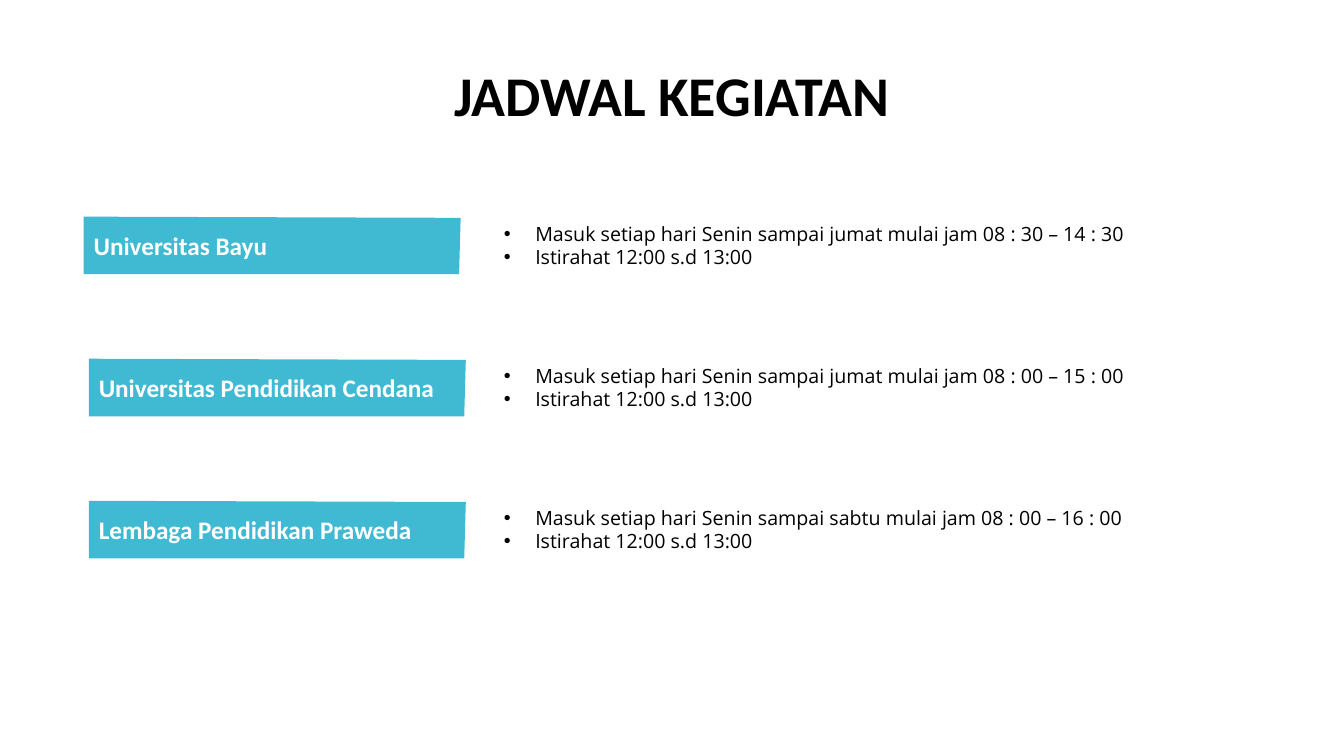
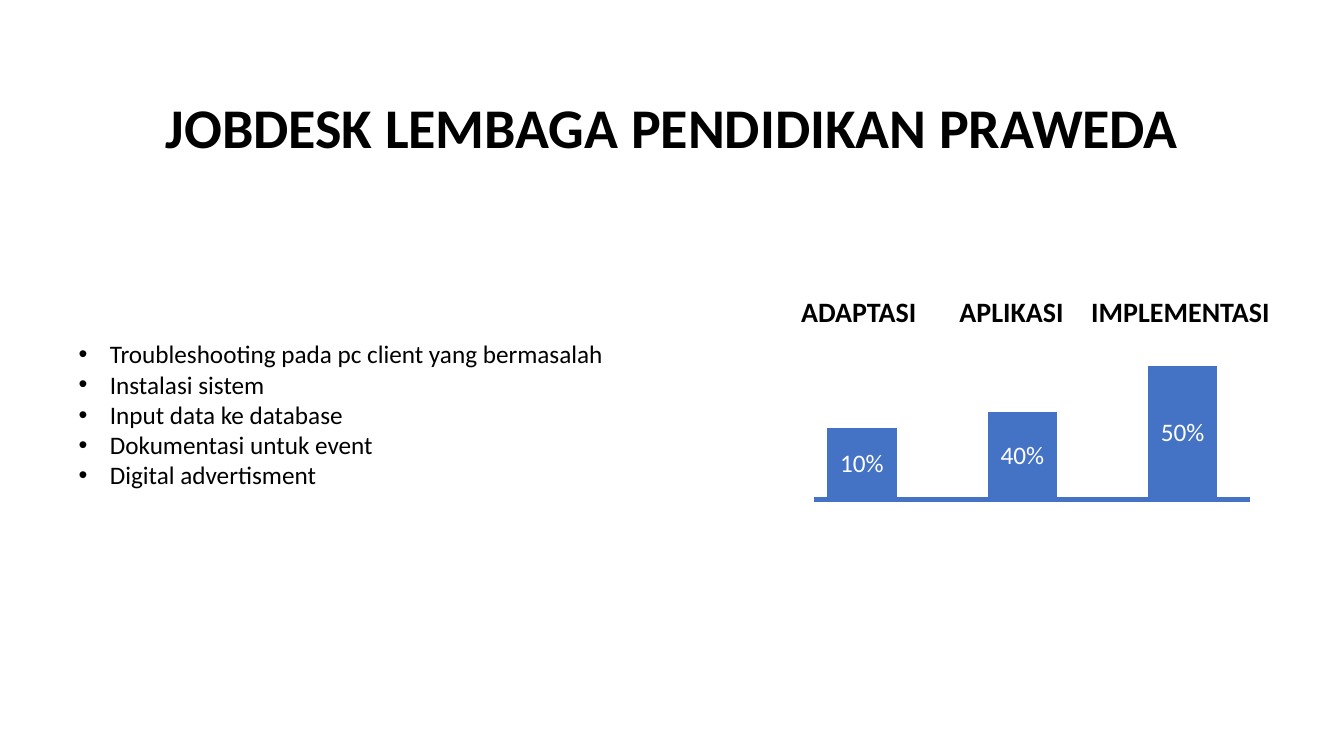
import pptx
import pptx.dml.color
import pptx.enum.shapes
import pptx.enum.text
import pptx.oxml.ns
import pptx.util
from lxml import etree

Cm = pptx.util.Cm
ALIGN = pptx.enum.text.PP_ALIGN
ANCHOR = pptx.enum.text.MSO_ANCHOR
PROCESS = pptx.enum.shapes.MSO_SHAPE.FLOWCHART_PROCESS

COLOURS = {"text": "000000", "light": "FFFFFF", "banner": "40BAD2", "bar": "4472C4"}
SLIDE_WIDTH, SLIDE_HEIGHT = 33.87, 19.05
BULLET_INDENT = 0.79

BREAK_TIME = "Istirahat 12:00 s.d 13:00"
# Institution, banner left (cm), working hours
SCHEDULE = [
    ("Universitas Bayu", 2.11,
     "Masuk setiap hari Senin sampai jumat mulai jam 08 : 30 – 14 : 30"),
    ("Universitas Pendidikan Cendana", 2.24,
     "Masuk setiap hari Senin sampai jumat mulai jam 08 : 00 – 15 : 00"),
    ("Lembaga Pendidikan Praweda", 2.24,
     "Masuk setiap hari Senin sampai sabtu mulai jam 08 : 00 – 16 : 00"),
]
TASKS = [
    "Troubleshooting pada pc client yang bermasalah",
    "Instalasi sistem",
    "Input data ke database",
    "Dokumentasi untuk event",
    "Digital advertisment",
]
# Stage, label left and width (cm), share, bar height (cm)
STAGES = [
    ("ADAPTASI", 19.94, 3.48, "10%", 1.73),
    ("APLIKASI", 23.93, 3.33, "40%", 2.13),
    ("IMPLEMENTASI", 27.25, 5.11, "50%", 3.3),
]


def colour(name):
    return pptx.dml.color.RGBColor.from_string(COLOURS[name])


def write(shape, lines, size, ink="text", bold=False, font="Calibri",
          align=ALIGN.LEFT, anchor=ANCHOR.TOP):
    frame = shape.text_frame
    frame.word_wrap = True
    frame.vertical_anchor = anchor
    frame.text = "\n".join(lines)
    for para in frame.paragraphs:
        para.alignment = align
        for span in para.runs:
            span.font.name = font
            span.font.size = pptx.util.Pt(size)
            span.font.bold = bold
            span.font.color.rgb = colour(ink)


def paint(shape, fill):
    shape.shadow.inherit = False
    shape.fill.solid()
    shape.fill.fore_color.rgb = colour(fill)
    shape.line.fill.background()


def add_text(page, box, lines, size, **style):
    shape = page.shapes.add_textbox(*map(Cm, box))
    write(shape, lines, size, **style)
    return shape


def add_bullets(page, box, lines, size, font="Calibri"):
    shape = add_text(page, box, lines, size, font=font)
    for para in shape.text_frame.paragraphs:
        properties = para._p.get_or_add_pPr()
        properties.set("marL", str(Cm(BULLET_INDENT)))
        properties.set("indent", str(-Cm(BULLET_INDENT)))
        for tag, key, value in (("a:buFont", "typeface", "Arial"), ("a:buChar", "char", "•")):
            etree.SubElement(properties, pptx.oxml.ns.qn(tag)).set(key, value)


def add_title(page, top, text):
    add_text(page, (0, top, SLIDE_WIDTH, 1.96), [text], 40, bold=True, align=ALIGN.CENTER)


def add_banner(page, box, text):
    """Add a name band whose right edge leans slightly."""
    left, top, width, height = box
    corners = [(width, 0.03), (width - 0.04, height), (0, height)]
    outline = page.shapes.build_freeform(Cm(left), Cm(top))
    outline.add_line_segments([(Cm(left + x), Cm(top + y)) for x, y in corners])
    banner = outline.convert_to_shape()
    paint(banner, "banner")
    write(banner, [text], 18, ink="light", bold=True, anchor=ANCHOR.MIDDLE)


def add_block(page, box):
    block = page.shapes.add_shape(PROCESS, *map(Cm, box))
    paint(block, "bar")
    return block


def add_stage_bars(page, box):
    """Stand labelled bars on a baseline; their heights are illustrative, not to scale."""
    left, top, width, height = box
    baseline = top + height
    for index, (stage, label_left, label_width, share, bar_height) in enumerate(STAGES):
        add_text(page, (label_left, top, label_width, 1.12), [stage], 20, bold=True)
        bar_left = left + 0.33 + index * 4.04
        bar = add_block(page, (bar_left, baseline - bar_height, 1.75, bar_height))
        write(bar, [share], 18, ink="light", align=ALIGN.CENTER, anchor=ANCHOR.MIDDLE)
    add_block(page, (left, baseline, width, 0.13))


def build_schedule(page):
    add_title(page, 1.4, "JADWAL KEGIATAN")
    for index, (institution, left, hours) in enumerate(SCHEDULE):
        top = 5.46 + index * 3.58
        add_banner(page, (left, top, 9.5, 1.45), institution)
        add_bullets(page, (12.45, top, 17.37, 1.45), [hours, BREAK_TIME], 14, "Open Sans")


def build_job_description(page):
    add_title(page, 2.21, "JOBDESK LEMBAGA PENDIDIKAN PRAWEDA")
    add_bullets(page, (1.73, 8.41, 16.59, 4.11), TASKS, 18)
    add_stage_bars(page, (20.52, 7.29, 10.97, 5.23))


def main():
    deck = pptx.Presentation()
    deck.slide_width, deck.slide_height = Cm(SLIDE_WIDTH), Cm(SLIDE_HEIGHT)
    for build in (build_schedule, build_job_description):
        build(deck.slides.add_slide(deck.slide_layouts[6]))
    deck.save("out.pptx")


if __name__ == "__main__":
    main()
